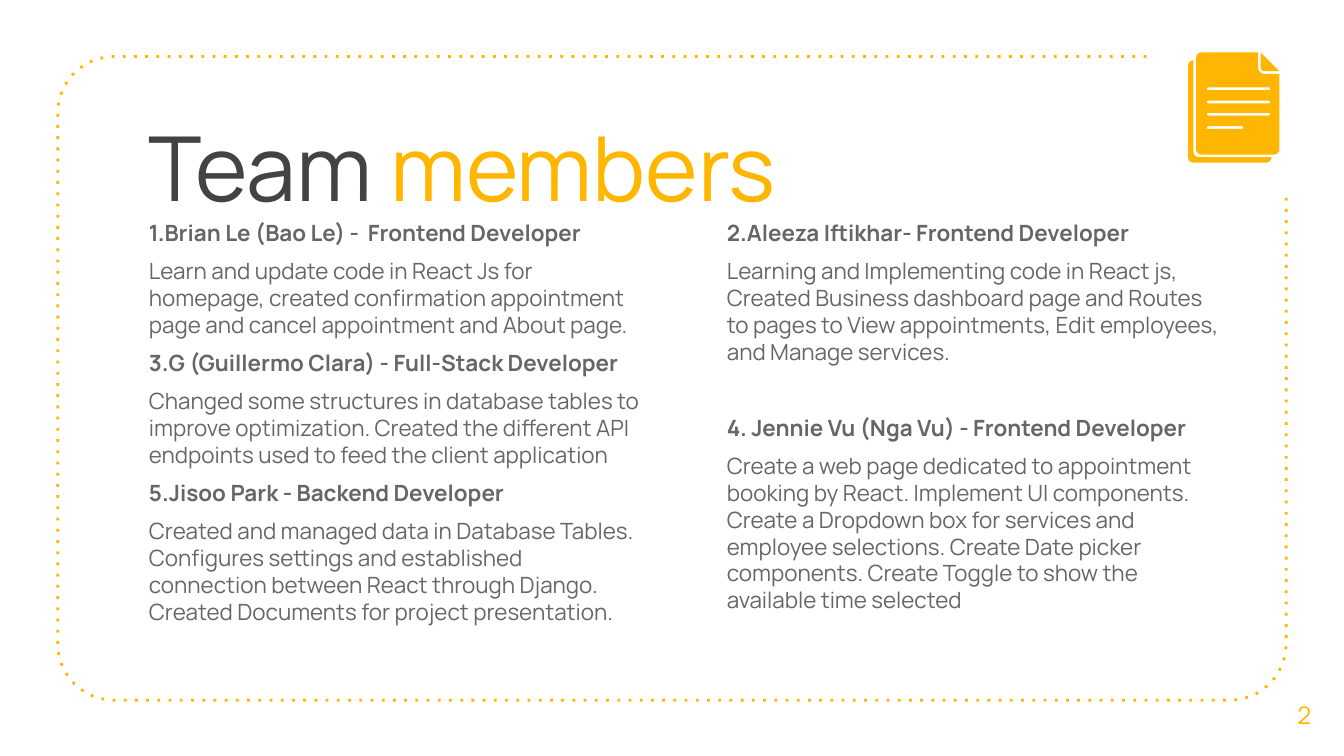
from math import cos, sin, radians
from pptx import Presentation
from pptx.dml.color import RGBColor as RGB
from pptx.enum.dml import MSO_LINE as Dash
from pptx.enum.text import MSO_ANCHOR as Anchor, PP_ALIGN as Align
from pptx.util import Inches, Pt

COLORS = {"gold": "FFB600", "dark": "434343", "gray": "666666"}
FONT = "Manrope"

# Widescreen, 16 to 9
deck = Presentation()
deck.slide_width, deck.slide_height = Inches(10), Inches(10 * 9 / 16)
slide = deck.slides.add_slide(deck.slide_layouts[6])


def arc(x, y, r, start, end, steps=12):
    """Points along a circle, in degrees, with y pointing down."""
    turns = [radians(start + (end - start) * i / steps) for i in range(steps + 1)]
    return [(x + r * cos(a), y + r * sin(a)) for a in turns]


def draw(rings, close=True):
    """One gold freeform made of one or more outlines."""
    rings = [[(Inches(x), Inches(y)) for x, y in ring] for ring in rings]
    pen = slide.shapes.build_freeform(*rings[0][0])
    for i, ring in enumerate(rings):
        if i:
            pen.move_to(*ring[0])
        pen.add_line_segments(ring[1:], close=close)
    shape = pen.convert_to_shape()
    shape.shadow.inherit = False
    if close:
        shape.fill.solid()
        shape.fill.fore_color.rgb = RGB.from_string(COLORS["gold"])
        shape.line.fill.background()
    else:
        shape.fill.background()
        shape.line.color.rgb = RGB.from_string(COLORS["gold"])
    return shape


# Dotted frame, open at the top right
border = draw([[(8.53, 0.42)] + arc(0.85, 0.84, 0.42, 270, 180)
               + arc(0.85, 4.79, 0.42, 180, 90)
               + arc(9.15, 4.79, 0.42, 90, 0) + [(9.57, 1.46)]], close=False)
border.line.width = Pt(1.5)
border.line.dash_style = Dash.ROUND_DOT
border.element.xpath(".//a:prstDash")[0].set("val", "dot")

# Text boxes: place, then paragraphs of (space before, runs)
# Each run is (text, size, colour, bold)
title = [(0, [("Team ", 48, "dark", False), ("members", 48, "gold", False)])]
left = [
    ("1.Brian Le (Bao Le) -  Frontend Developer",
     "Learn and update code in React Js for homepage, created confirmation "
     "appointment page and cancel appointment and About page."),
    ("3.G (Guillermo Clara) - Full-Stack Developer",
     "Changed some structures in database tables to improve optimization. "
     "Created the different API endpoints used to feed the client application"),
    ("5.Jisoo Park - Backend Developer",
     "Created and managed data in Database Tables. Configures settings and "
     "established connection between React through Django. Created Documents "
     "for project presentation."),
]
right = [
    ("2.Aleeza Iftikhar- Frontend Developer",
     "Learning and Implementing code in React js, Created Business dashboard "
     "page and Routes to pages to View appointments, Edit employees, and "
     "Manage services."),
    ("4. Jennie Vu (Nga Vu) - Frontend Developer",
     "Create a web page dedicated to appointment booking by React. Implement "
     "UI components. Create a Dropdown box for services and employee "
     "selections. Create Date picker components. Create Toggle to show the "
     "available time selected"),
]
boxes = [((1.01, 0.73, 7.51, 0.94), title)]
for place, team, gap in [((5.31, 1.53, 3.88, 3.25), right, 26.4),
                         ((1.01, 1.53, 3.88, 3.74), left, 6)]:
    paras = []
    for i, (name, task) in enumerate(team):
        paras.append((gap if i else 6, [(name, 12, "gray", True)]))
        paras.append((6, [(task, 12, "gray", False)]))
    boxes.append((place, paras))
boxes.append(((9.41, 5.02, 0.59, 0.6), [(0, [("2", 13, "gold", False)])]))

for place, paras in boxes:
    frame = slide.shapes.add_textbox(*map(Inches, place)).text_frame
    frame.word_wrap = True
    frame.margin_left = frame.margin_right = Inches(0.1)
    frame.margin_top = frame.margin_bottom = Inches(0.1)
    for i, (space, runs) in enumerate(paras):
        para = frame.add_paragraph() if i else frame.paragraphs[0]
        para.space_before = Pt(space)
        for text, size, color, bold in runs:
            run = para.add_run()
            run.text = text
            run.font.name, run.font.size, run.font.bold = FONT, Pt(size), bold
            run.font.color.rgb = RGB.from_string(COLORS[color])

# The page number is the last box
frame.vertical_anchor = Anchor.MIDDLE
para.alignment = Align.CENTER

# Icon: back sheet
draw([arc(8.88, 0.49, 0.04, 270, 180) + arc(8.88, 1.17, 0.04, 180, 90)
      + arc(9.42, 1.17, 0.04, 90, 0) + arc(8.92, 1.13, 0.04, 90, 180)
      + [(8.88, 0.45)]])

# Icon: front sheet with text lines cut out
sheet = (arc(8.94, 0.43, 0.04, 270, 180) + arc(8.94, 1.11, 0.04, 180, 90)
         + arc(9.48, 1.11, 0.04, 90, 0) + [(9.52, 0.55)]
         + arc(9.41, 0.5, 0.05, 90, 180) + [(9.36, 0.39)])
slots = [arc(8.99, y, 0.01, 90, 270) + arc(end, y, 0.01, -90, 90)
         for y, end in [(0.66, 9.44), (0.76, 9.44), (0.85, 9.44), (0.95, 9.24)]]
draw([sheet] + slots)

# Icon: folded corner
draw([[(9.38, 0.39)] + arc(9.41, 0.5, 0.03, 180, 90) + [(9.52, 0.53)]])

deck.save("out.pptx")
